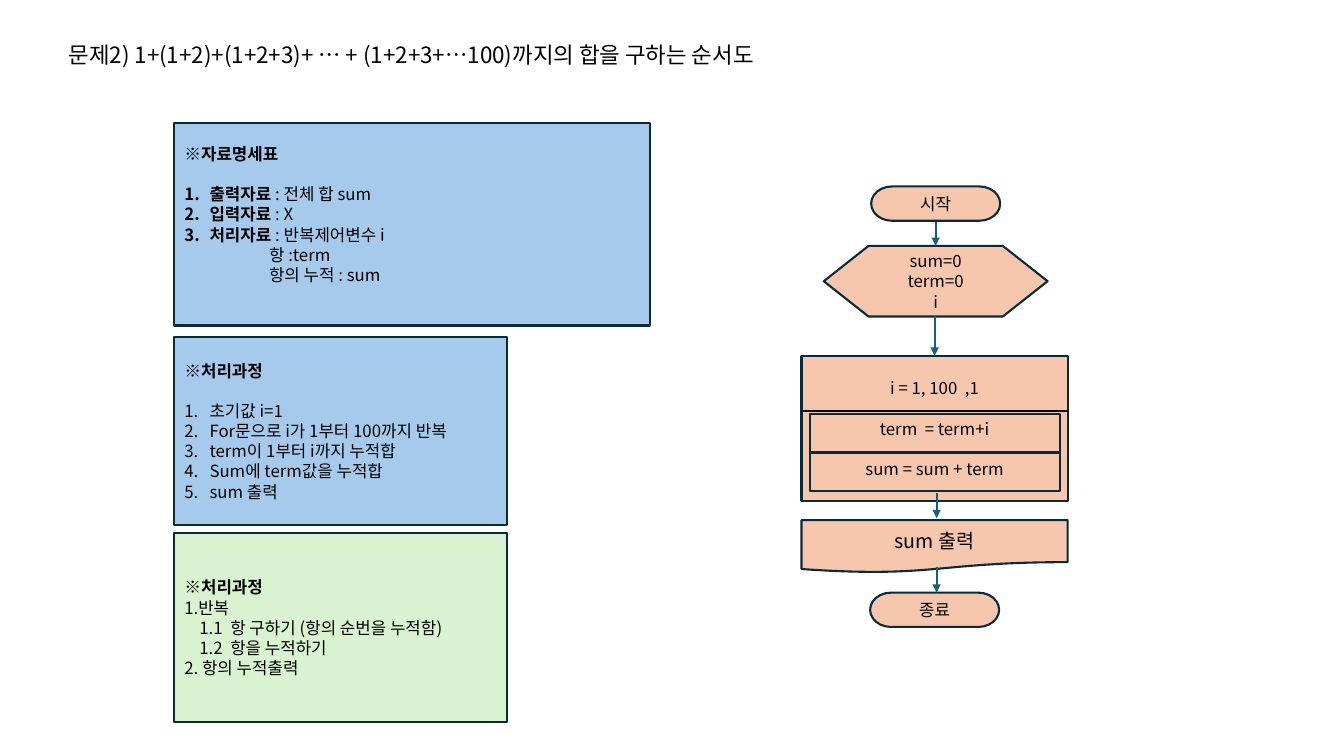
from dataclasses import dataclass
from typing import Optional

from lxml import etree
from pptx import Presentation
from pptx.dml.color import RGBColor
from pptx.enum.shapes import MSO_CONNECTOR, MSO_SHAPE
from pptx.enum.text import MSO_ANCHOR, MSO_AUTO_SIZE, PP_ALIGN
from pptx.oxml.ns import qn
from pptx.util import Inches, Pt

LEFT, CENTER = PP_ALIGN.LEFT, PP_ALIGN.CENTER
TOP, MIDDLE = MSO_ANCHOR.TOP, MSO_ANCHOR.MIDDLE
RECT = MSO_SHAPE.RECTANGLE
ENDCAP = MSO_SHAPE.FLOWCHART_TERMINATOR
SETUP = MSO_SHAPE.FLOWCHART_PREPARATION
PAPER = MSO_SHAPE.FLOWCHART_DOCUMENT
STRAIGHT = MSO_CONNECTOR.STRAIGHT


@dataclass(frozen=True)
class Theme:
    font: str = "Noto Sans CJK KR"
    ink: str = "000000"
    edge: str = "092A39"
    arrow: str = "156082"
    blue: str = "A6CAEC"
    green: str = "D9F2D0"
    peach: str = "F6C6AD"
    title: float = 16
    large: float = 14
    body: float = 12
    line: float = 1.5
    pitch: float = 1.2


THEME = Theme()
GAP = THEME.body * THEME.pitch


@dataclass(frozen=True)
class Line:
    text: str = ""
    lead: str = ""  # bold opening words
    before: float = 0
    indent: float = 0
    listed: bool = False


@dataclass(frozen=True)
class Box:
    left: float
    top: float
    width: float
    height: float
    fill: Optional[str]
    lines: tuple[Line, ...] = ()
    kind: MSO_SHAPE = RECT
    align: PP_ALIGN = CENTER
    size: float = THEME.body
    bottom: float = 0.05


@dataclass(frozen=True)
class Link:
    start: tuple[float, float]
    end: tuple[float, float]
    color: str = THEME.arrow
    head: bool = True


def write(frame, lines: tuple[Line, ...], *, size: float = THEME.body,
          align: PP_ALIGN = CENTER, anchor: MSO_ANCHOR = MIDDLE,
          bottom: float = 0.05) -> None:
    frame.word_wrap = True
    frame.auto_size = MSO_AUTO_SIZE.NONE
    frame.vertical_anchor = anchor
    frame.margin_left = frame.margin_right = Inches(0.1)
    frame.margin_top, frame.margin_bottom = Inches(0.05), Inches(bottom)
    for i, line in enumerate(lines):
        para = frame.add_paragraph() if i else frame.paragraphs[0]
        para.alignment = align
        para.line_spacing = Pt(size * THEME.pitch)
        para.space_before = Pt(line.before)
        props = para._p.get_or_add_pPr()
        if line.listed:
            props.set("marL", str(Inches(0.25)))
            props.set("indent", str(Inches(-0.25)))
            etree.SubElement(props, qn("a:buAutoNum"), type="arabicPeriod")
        elif line.indent:
            props.set("marL", str(Inches(line.indent)))
            props.set("indent", "0")
        for text, bold in ((line.lead, True), (line.text, False)):
            if not text:
                continue
            run = para.add_run()
            run.text = text
            font = run.font
            font.size, font.bold, font.name = Pt(size), bold, THEME.font
            font.color.rgb = RGBColor.from_string(THEME.ink)
            etree.SubElement(run._r.get_or_add_rPr(), qn("a:ea"), typeface=THEME.font)


def draw_box(slide, box: Box) -> None:
    place = map(Inches, (box.left, box.top, box.width, box.height))
    shape = slide.shapes.add_shape(box.kind, *place)
    shape.shadow.inherit = False
    if box.fill:
        shape.fill.solid()
        shape.fill.fore_color.rgb = RGBColor.from_string(box.fill)
    else:
        shape.fill.background()
    shape.line.color.rgb = RGBColor.from_string(THEME.edge)
    shape.line.width = Pt(THEME.line)
    write(shape.text_frame, box.lines, size=box.size, align=box.align, bottom=box.bottom)


def draw_link(slide, link: Link) -> None:
    ends = map(Inches, (*link.start, *link.end))
    shape = slide.shapes.add_connector(STRAIGHT, *ends)
    shape.line.color.rgb = RGBColor.from_string(link.color)
    shape.line.width = Pt(THEME.line)
    if link.head:
        etree.SubElement(shape.line._get_or_add_ln(), qn("a:tailEnd"), type="triangle")
    etree.SubElement(shape._element.spPr, qn("a:effectLst"))


# Notes on the left
NOTE_X = 1.73
NOTES = (
    Box(NOTE_X, 1.22, 4.72, 2.01, THEME.blue, (
        Line(lead="※자료명세표"),
        Line(": 전체 합 sum", "출력자료 ", GAP, listed=True),
        Line(": X", "입력자료 ", listed=True),
        Line(": 반복제어변수 i", "처리자료 ", listed=True),
        Line("항 :term", indent=0.84),
        Line("항의 누적 : sum", indent=0.84),
    ), align=LEFT, bottom=0.25),
    Box(NOTE_X, 3.34, 3.3, 1.87, THEME.blue, (
        Line(lead="※처리과정"),
        Line("초기값 i=1", before=GAP, listed=True),
        Line("For문으로 i가 1부터 100까지 반복", listed=True),
        Line("term이 1부터 i까지 누적합", listed=True),
        Line("Sum에 term값을 누적합", listed=True),
        Line("sum 출력", listed=True),
    ), align=LEFT),
    Box(NOTE_X, 5.29, 3.3, 1.87, THEME.green, (
        Line(lead="※처리과정"),
        Line("1.반복"),
        Line("1.1  항 구하기 (항의 순번을 누적함)", indent=0.15),
        Line("1.2  항을 누적하기", indent=0.15),
        Line("2. 항의 누적출력"),
    ), align=LEFT),
)

# Flowchart on the right
FLOW_X, FLOW_W = 7.95, 2.64
MID = 9.28
STEP_TOP, STEP_H = 4.11, 0.38
FLOW = (
    Box(8.64, 1.85, 1.28, 0.34, THEME.peach, (Line("시작"),), ENDCAP),
    Box(8.17, 2.44, 2.22, 0.7, THEME.peach,
        (Line("sum=0"), Line("term=0"), Line("i")), SETUP),
    Box(FLOW_X, 3.53, FLOW_W, 1.44, THEME.peach, (
        Line("i = 1, 100  ,1"),
        Line("term  = term+i", before=GAP),
        Line("sum = sum + term", before=GAP),
    )),
    *(Box(8.03, STEP_TOP + i * STEP_H, 2.48, STEP_H, None) for i in range(2)),
    Box(FLOW_X, 5.16, FLOW_W, 0.52, THEME.peach, (Line("sum 출력"),), PAPER,
        size=THEME.large),
    Box(8.63, 5.88, 1.28, 0.34, THEME.peach, (Line("종료"),), ENDCAP),
)
LINKS = (
    Link((MID, 2.2), (MID, 2.44)),
    Link((9.27, 3.14), (9.27, 3.53)),
    Link((FLOW_X, 4.08), (FLOW_X + FLOW_W, 4.08), THEME.ink, False),
    Link((9.29, 4.89), (9.29, 5.14)),
    Link((9.29, 5.63), (9.29, 5.88)),
)


def main() -> None:
    deck = Presentation()
    deck.slide_width, deck.slide_height = Inches(13.33), Inches(7.5)
    slide = deck.slides.add_slide(deck.slide_layouts[5])

    # Title
    title = slide.shapes.title
    title.left, title.top = Inches(0.58), Inches(0.36)
    title.width, title.height = Inches(10.01), Inches(0.37)
    head = Line("문제2) 1+(1+2)+(1+2+3)+ … + (1+2+3+…100)까지의 합을 구하는 순서도")
    write(title.text_frame, (head,), size=THEME.title, align=LEFT, anchor=TOP)

    # Notes and flowchart
    for box in NOTES + FLOW:
        draw_box(slide, box)
    for link in LINKS:
        draw_link(slide, link)
    deck.save("out.pptx")


if __name__ == "__main__":
    main()
